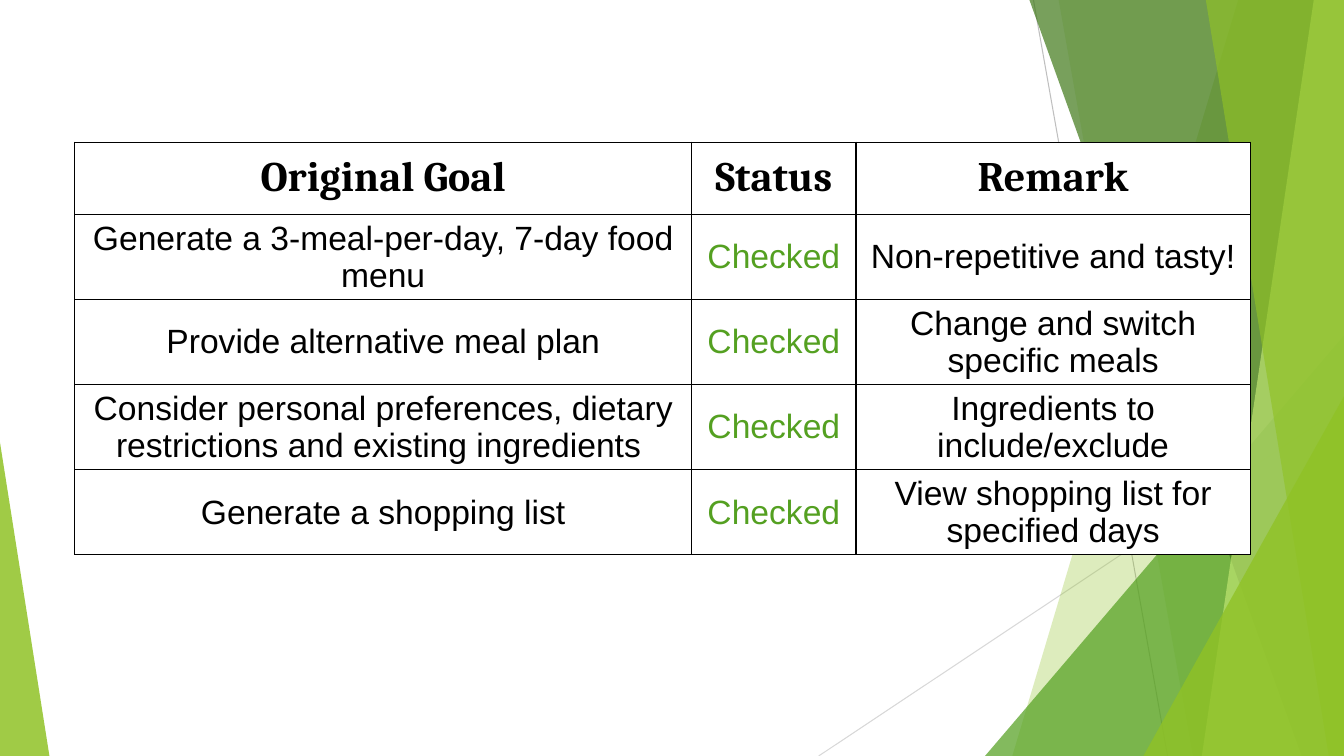
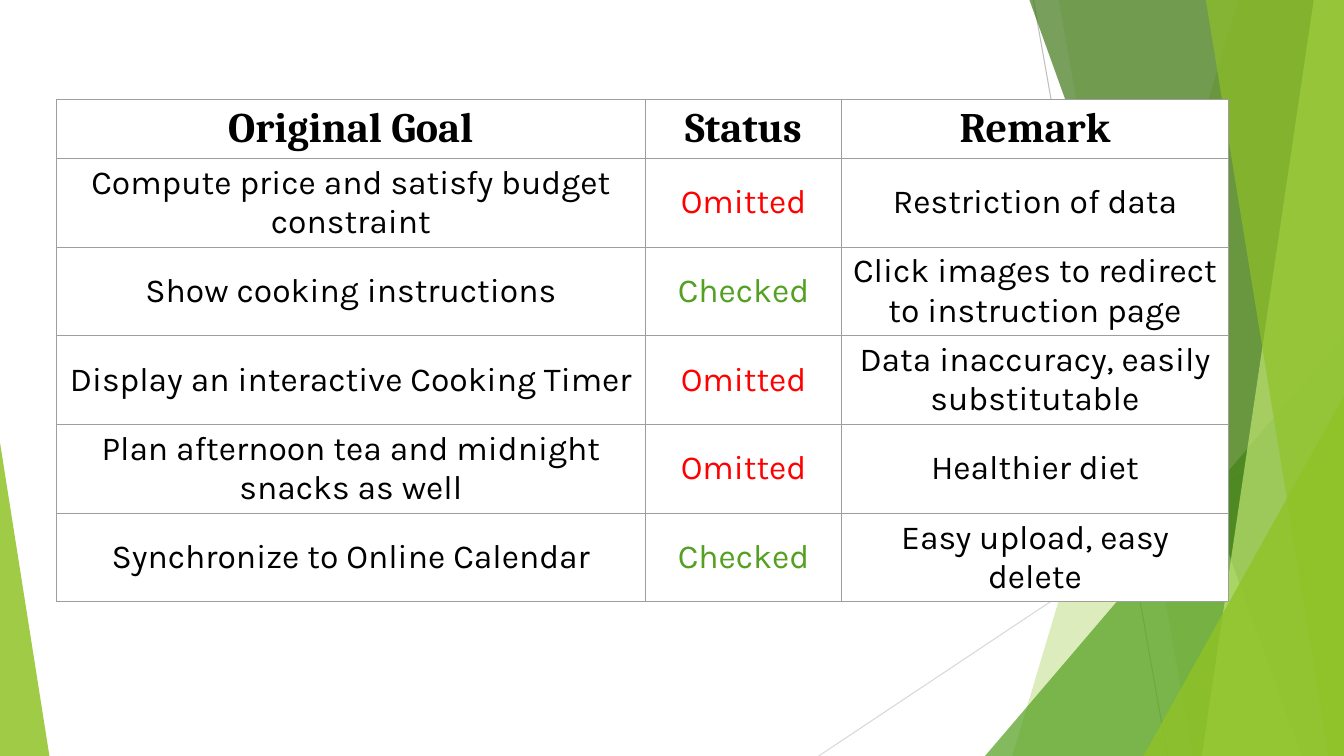
from lxml.etree import SubElement
from pptx import Presentation
from pptx.dml.color import RGBColor
from pptx.enum.shapes import MSO_CONNECTOR, MSO_SHAPE
from pptx.enum.text import MSO_ANCHOR, PP_ALIGN
from pptx.oxml.ns import qn
from pptx.util import Inches, Pt

WHITE = RGBColor(0xFF, 0xFF, 0xFF)
BLACK = RGBColor(0, 0, 0)
RED = RGBColor(0xFF, 0, 0)
GREEN = RGBColor(0x54, 0xA0, 0x21)
LIME = RGBColor(0x90, 0xC2, 0x26)
MOSS = RGBColor(0x3F, 0x78, 0x18)
PALE = RGBColor(0xBF, 0xE4, 0x71)
SILVER = RGBColor(0xBF, 0xBF, 0xBF)
MIST = RGBColor(0xD8, 0xD8, 0xD8)
GRAY = RGBColor(0x9E, 0x9E, 0x9E)

WIDE, HIGH = 13.33, 7.5
STATUS = {"Checked": GREEN, "Omitted": RED}
HEAD = ("Original Goal", "Status", "Remark")


def tint(shape, color, alpha):
    """Fill without outline; alpha is the opacity in percent."""
    shape.shadow.inherit = False
    shape.line.fill.background()
    shape.fill.solid()
    shape.fill.fore_color.rgb = color
    tone = shape.fill._xPr.find(qn("a:solidFill"))[0]
    SubElement(tone, qn("a:alpha"), val=str(alpha * 1000))


def frame(cell, color, width):
    """Draw all four borders of a table cell."""
    props = cell._tc.get_or_add_tcPr()
    for side in ("lnL", "lnR", "lnT", "lnB"):
        edge = SubElement(props, qn(f"a:{side}"), w=str(Pt(width)))
        fill = SubElement(edge, qn("a:solidFill"))
        SubElement(fill, qn("a:srgbClr"), val=str(color))


deck = Presentation()
deck.slide_width, deck.slide_height = Inches(WIDE), Inches(HIGH)
blank = deck.slide_layouts[6]
for holder in list(blank.placeholders):
    holder.element.getparent().remove(holder.element)

# Shared backdrop: drawn on the first slide, then moved to the layout
first = deck.slides.add_slide(blank)
shapes = first.shapes

for x1, y1, x2, color in ((10.25, 0, 11.58, SILVER), (WIDE, 4.03, 8.12, MIST)):
    line = shapes.add_connector(MSO_CONNECTOR.STRAIGHT, Inches(x1), Inches(y1),
                                Inches(x2), Inches(HIGH))
    line.line.color.rgb = color
    line.line.width = Pt(0.75)
    SubElement(line.element.spPr, qn("a:effectLst"))

# Bands run from a top x to a bottom x and fill out to the right edge;
# triangles have left, top, width and the place of their tip.
BACKDROP = (
    ("band", (12.28, 10.04), LIME, 30),
    ("band", (10.5, 11.83), LIME, 20),
    ("tri", (9.77, 3.33, 3.56, 1), GREEN, 72),
    ("band", (10.21, 12.91), MOSS, 70),
    ("band", (13.03, 11.92), PALE, 70),
    ("band", (11.96, 13.18), LIME, 65),
    ("tri", (11.34, 3.93, 1.99, 1), LIME, 80),
    ("tri", (0, 4.39, 0.49, 0), LIME, 85),
)
for kind, place, color, alpha in BACKDROP:
    if kind == "band":
        top, low = place
        pen = shapes.build_freeform(Inches(top), 0)
        pen.add_line_segments([(Inches(x), Inches(y)) for x, y in
                               ((WIDE, 0), (WIDE, HIGH), (low, HIGH))])
        shape = pen.convert_to_shape()
    else:
        left, top, width, tip = place
        shape = shapes.add_shape(MSO_SHAPE.ISOSCELES_TRIANGLE, Inches(left),
                                 Inches(top), Inches(width), Inches(HIGH - top))
        shape.adjustments[0] = tip
    tint(shape, color, alpha)

for shape in list(shapes):
    blank.shapes.element.append(shape.element)

MEALS = (
    ("Generate a 3-meal-per-day, 7-day food menu", "Checked",
     "Non-repetitive and tasty!"),
    ("Provide alternative meal plan", "Checked",
     "Change and switch specific meals"),
    ("Consider personal preferences, dietary restrictions and existing ingredients ",
     "Checked", "Ingredients to include/exclude"),
    ("Generate a shopping list", "Checked",
     "View shopping list for specified days"),
)
EXTRAS = (
    ("Compute price and satisfy budget constraint", "Omitted",
     "Restriction of data"),
    ("Show cooking instructions", "Checked",
     "Click images to redirect to instruction page"),
    ("Display an interactive Cooking Timer", "Omitted",
     "Data inaccuracy, easily substitutable"),
    ("Plan afternoon tea and midnight snacks as well", "Omitted",
     "Healthier diet"),
    ("Synchronize to Online Calendar", "Checked",
     "Easy upload, easy delete"),
)

# Slide, rows, left, top, column widths, head and row height, font, border
TABLES = (
    (first, MEALS, 0.74, 1.41, (6.12, 1.63, 3.91), 0.72, 0.84,
     "Arial", BLACK, 1),
    (deck.slides.add_slide(blank), EXTRAS, 0.56, 0.99, (5.84, 1.95, 3.83),
     0.58, 0.88, "Karla", GRAY, 0.75),
)
for slide, goals, left, top, widths, tall, step, font, edge, weight in TABLES:
    rows = (HEAD,) + goals
    table = slide.shapes.add_table(
        len(rows), len(HEAD), Inches(left), Inches(top), Inches(sum(widths)),
        Inches(tall + step * len(goals))).table
    table.first_row = table.horz_banding = False
    for column, width in zip(table.columns, widths):
        column.width = Inches(width)
    for r, texts in enumerate(rows):
        head = r == 0
        table.rows[r].height = Inches(tall if head else step)
        for c, text in enumerate(texts):
            cell = table.cell(r, c)
            frame(cell, edge, weight)
            cell.fill.solid()
            cell.fill.fore_color.rgb = WHITE
            cell.vertical_anchor = MSO_ANCHOR.MIDDLE
            para = cell.text_frame.paragraphs[0]
            para.alignment = PP_ALIGN.CENTER
            run = para.add_run()
            run.text = text
            run.font.name = "Cambria" if head else font
            run.font.size = Pt(30 if head else 24)
            run.font.bold = head
            run.font.color.rgb = STATUS.get(text, BLACK)

deck.save("out.pptx")
